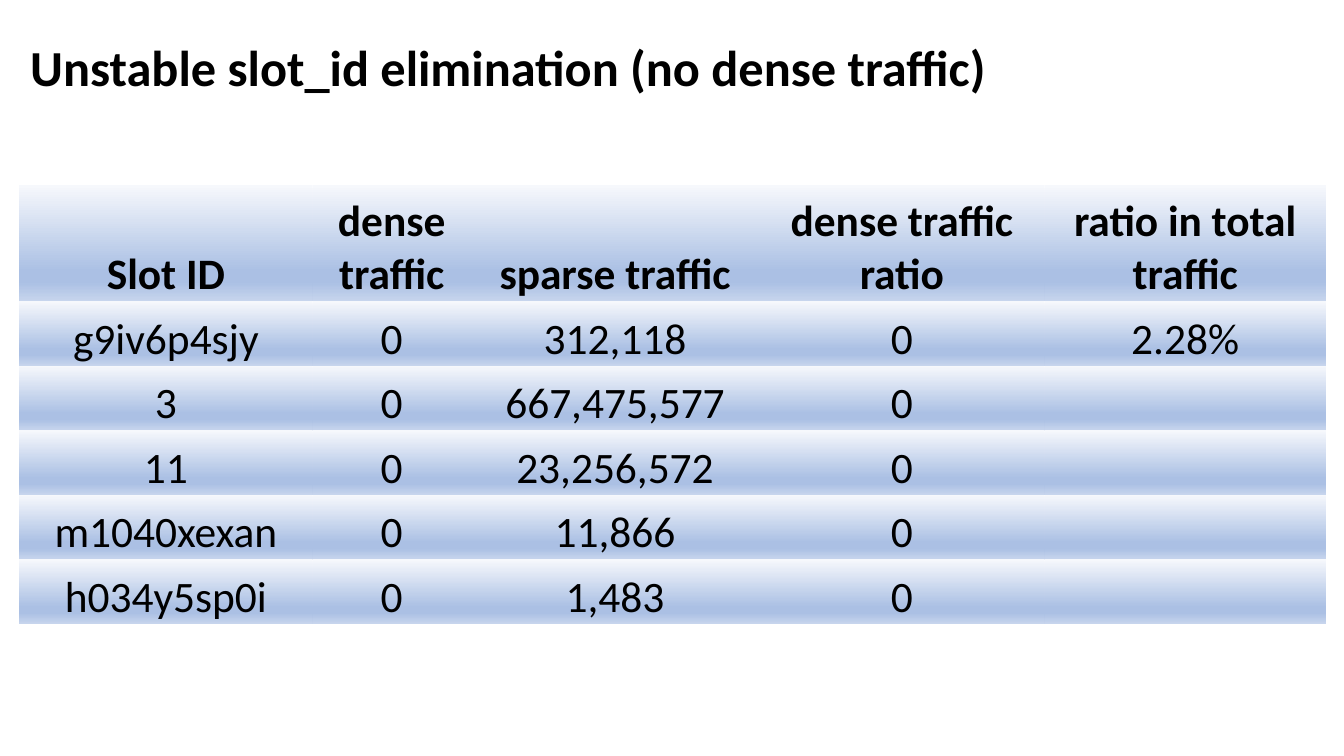
"""Build a slide with a table of slots that carry no dense traffic."""
from dataclasses import dataclass

from lxml import etree
from pptx import Presentation
from pptx.dml.color import RGBColor
from pptx.enum.text import MSO_ANCHOR, MSO_AUTO_SIZE, PP_ALIGN
from pptx.oxml.ns import qn
from pptx.util import Inches, Pt

LEFT = PP_ALIGN.LEFT
CENTER = PP_ALIGN.CENTER
BOTTOM = MSO_ANCHOR.BOTTOM
NO_FIT = MSO_AUTO_SIZE.NONE
PLAIN = "{2D5ABB26-0587-4C30-8999-92F81FD0307C}"

HEADS = ["Slot ID", "dense traffic", "sparse traffic",
         "dense traffic ratio", "ratio in total traffic"]
SLOTS = [
    ["g9iv6p4sjy", "0", "312,118", "0", "2.28%"],
    ["3", "0", "667,475,577", "0", ""],
    ["11", "0", "23,256,572", "0", ""],
    ["m1040xexan", "0", "11,866", "0", ""],
    ["h034y5sp0i", "0", "1,483", "0", ""],
]
WIDTHS = [2.91, 1.57, 2.86, 2.83, 2.79]
HEIGHTS = [1.15] + [0.64] * len(SLOTS)


@dataclass(frozen=True)
class Theme:
    font: str = "Calibri"
    ink: str = "000000"
    title: int = 36
    cell: int = 31
    stops: tuple = ((0, "F6F8FC"), (74, "ABC0E4"),
                    (83, "ABC0E4"), (100, "C7D5ED"))
    angle: int = 90


class Deck:
    def __init__(self, slide, theme):
        self.slide = slide
        self.theme = theme

    def add_text(self, para, text, size, bold, align):
        para.alignment = align
        run = para.add_run()
        run.text = text
        run.font.name = self.theme.font
        run.font.size = Pt(size)
        run.font.bold = bold
        run.font.color.rgb = RGBColor.from_string(self.theme.ink)

    def title(self, text, left, top, width, height):
        shape = self.slide.shapes.title
        shape.left, shape.top = Inches(left), Inches(top)
        shape.width, shape.height = Inches(width), Inches(height)
        frame = shape.text_frame
        frame.word_wrap = True
        frame.auto_size = NO_FIT
        frame.vertical_anchor = BOTTOM
        para = frame.paragraphs[0]
        para.line_spacing = 0.9
        para.space_after = Pt(6)
        self.add_text(para, text, self.theme.title, True, LEFT)

    def shade(self, cell):
        props = cell._tc.get_or_add_tcPr()
        fill = etree.SubElement(props, qn("a:gradFill"), rotWithShape="1")
        stops = etree.SubElement(fill, qn("a:gsLst"))
        for place, color in self.theme.stops:
            stop = etree.SubElement(stops, qn("a:gs"), pos=str(place * 1000))
            etree.SubElement(stop, qn("a:srgbClr"), val=color)
        etree.SubElement(fill, qn("a:lin"),
                         ang=str(self.theme.angle * 60000), scaled="0")

    def table(self, rows, widths, heights, left, top):
        frame = self.slide.shapes.add_table(
            len(rows), len(widths), Inches(left), Inches(top),
            Inches(sum(widths)), Inches(sum(heights)))
        table = frame.table
        table.horz_banding = False
        table._tbl.tblPr.find(qn("a:tableStyleId")).text = PLAIN
        for column, width in zip(table.columns, widths):
            column.width = Inches(width)
        for y, (row, height) in enumerate(zip(rows, heights)):
            table.rows[y].height = Inches(height)
            for x, text in enumerate(row):
                cell = table.cell(y, x)
                cell.margin_left = cell.margin_right = Inches(0.02)
                cell.margin_top, cell.margin_bottom = Inches(0.02), 0
                cell.vertical_anchor = BOTTOM
                self.shade(cell)
                if text:
                    self.add_text(cell.text_frame.paragraphs[0], text,
                                  self.theme.cell, y == 0, CENTER)


def main():
    show = Presentation()
    show.slide_width, show.slide_height = Inches(13.33), Inches(7.5)
    deck = Deck(show.slides.add_slide(show.slide_layouts[5]), Theme())
    deck.title("Unstable slot_id elimination (no dense traffic)",
               0.2, 0, 11.5, 1.02)
    deck.table([HEADS] + SLOTS, WIDTHS, HEIGHTS, 0.19, 1.84)
    show.save("out.pptx")


if __name__ == "__main__":
    main()
